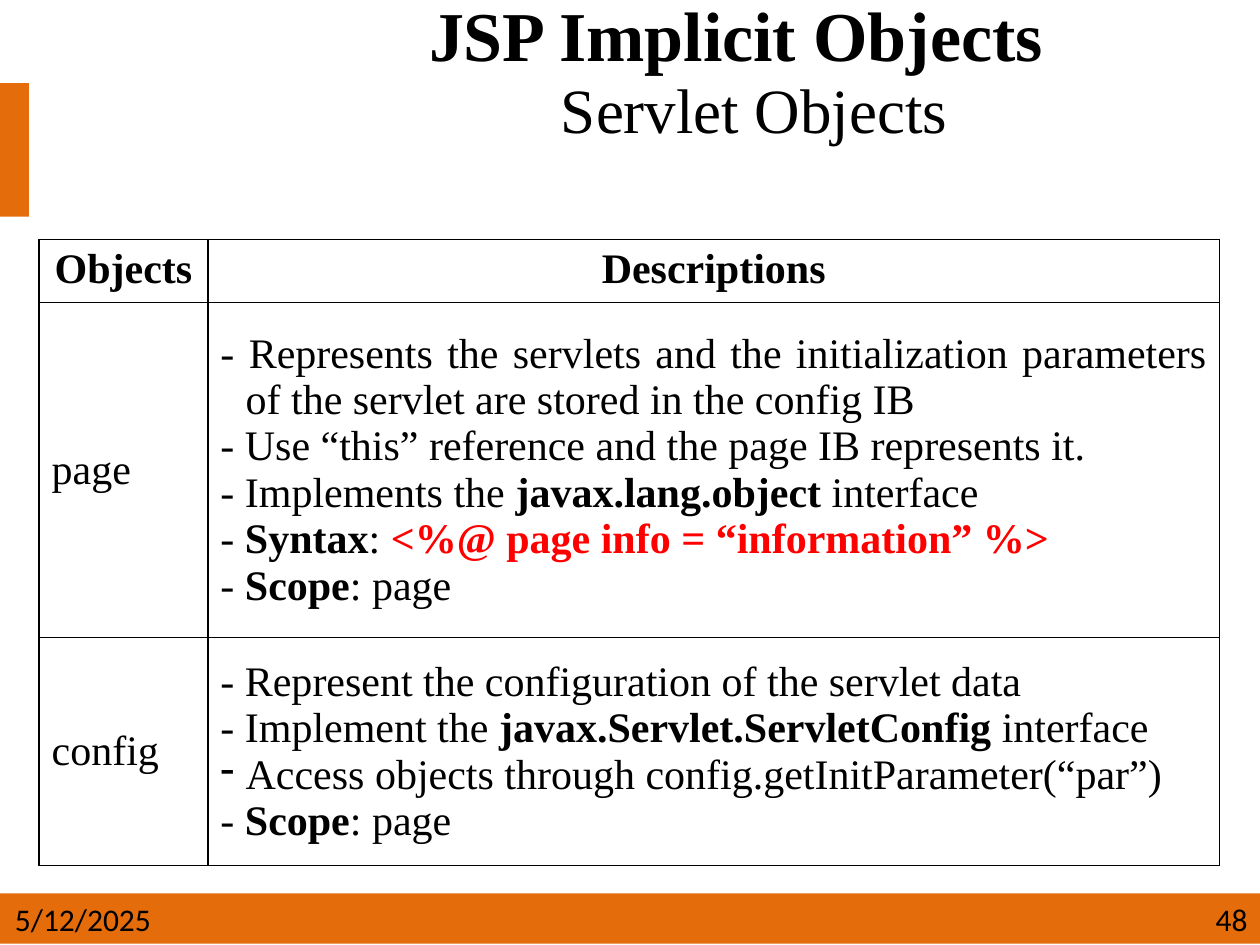
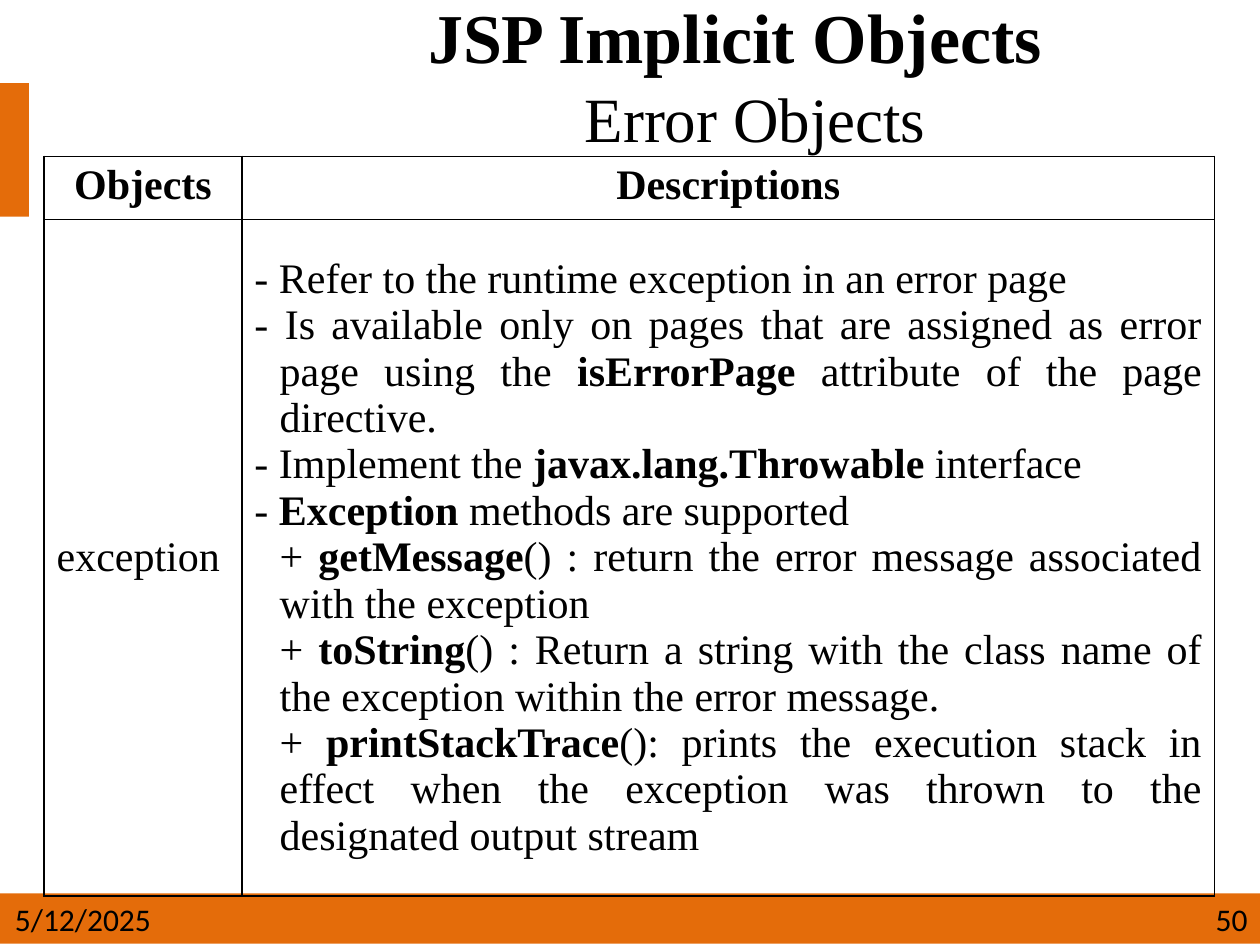
from dataclasses import dataclass
from typing import NamedTuple

from lxml.etree import SubElement
from pptx import Presentation
from pptx.dml.color import RGBColor
from pptx.enum.shapes import MSO_SHAPE
from pptx.enum.text import MSO_ANCHOR as Anchor, PP_ALIGN as Align
from pptx.oxml import parse_xml
from pptx.oxml.ns import nsdecls, qn
from pptx.util import Inches, Pt

ORANGE = RGBColor(0xE4, 0x6C, 0x0A)
BLACK = RGBColor(0, 0, 0)
RED = RGBColor(0xFF, 0, 0)
SERIF = "Times New Roman"
SANS = "Calibri"
DATE = "5/12/2025"
HEADERS = ("Objects", "Descriptions")
HANGING = Inches(0.2)


class Box(NamedTuple):
    left: float
    top: float
    width: float
    height: float


class Run(NamedTuple):
    text: str
    bold: bool = False
    color: RGBColor = BLACK


class TitleRun(NamedTuple):
    text: str
    size: int
    bold: bool = True


@dataclass
class Line:
    runs: list[Run]
    first_indent: int = -HANGING
    bullet: bool = False


@dataclass
class ImplicitObject:
    name: str
    lines: list[Line]


@dataclass
class Page:
    number: int
    title_box: Box
    title_lines: list[list[TitleRun]]
    table_box: Box
    col_widths: list[float]
    row_heights: list[float]
    objects: list[ImplicitObject]


BANDS = (Box(0, 7.09, 10, 0.4), Box(0, 0.66, 0.23, 1.06))
DATE_BOX = Box(0.02, 7.09, 1.52, 0.4)
NUMBER_BOX = Box(7, 7.09, 3, 0.4)


def dash(text: str, bold: str = "", rest: str = "") -> Line:
    return Line([Run("- " + text), Run(bold, True), Run(rest)])


def method(name: str, rest: str) -> Line:
    return Line([Run("+ "), Run(name, True), Run(rest)], first_indent=0)


PAGES = [
    Page(
        48, Box(1.82, 0, 8.18, 1.24),
        [[TitleRun("JSP Implicit Objects ", 40)],
         [TitleRun(" ", 44), TitleRun("Servlet Objects", 36, False)]],
        Box(0.31, 1.9, 9.37, 4.97), [1.34, 8.03], [0.5, 2.66, 1.81],
        [
            ImplicitObject("page", [
                dash("Represents the servlets and the initialization parameters "
                     "of the servlet are stored in the config IB"),
                dash("Use “this” reference and the page IB represents it."),
                dash("Implements the ", "javax.lang.object", " interface"),
                Line([Run("- "), Run("Syntax", True), Run(": "),
                      Run("<%@ page info = “information” %>", True, RED)]),
                dash("", "Scope", ": page"),
            ]),
            ImplicitObject("config", [
                dash("Represent the configuration of the servlet data"),
                dash("Implement the ", "javax.Servlet.ServletConfig", " interface"),
                Line([Run("Access objects through config.getInitParameter(“par”)")], bullet=True),
                dash("", "Scope", ": page"),
            ]),
        ],
    ),
    Page(
        50, Box(1.82, 0.12, 8.18, 1.05),
        [[TitleRun("JSP Implicit Objects", 40), TitleRun(" ", 44)],
         [TitleRun(" ", 48), TitleRun("Error Objects", 36, False)]],
        Box(0.35, 1.24, 9.29, 5.87), [1.57, 7.72], [0.5, 5.37],
        [
            ImplicitObject("exception", [
                dash("Refer to the runtime exception in an error page"),
                dash("Is available only on pages that are assigned as error page using the ",
                     "isErrorPage", " attribute of the page directive."),
                dash("Implement the ", "javax.lang.Throwable", " interface"),
                dash("", "Exception ", "methods are supported"),
                method("getMessage",
                       "() : return the error message associated with the exception"),
                method("toString", "() : Return a string with the class name of "
                                   "the exception within the error message."),
                method("printStackTrace",
                       "(): prints the execution stack in effect when the exception "
                       "was thrown to the designated output stream"),
            ]),
        ],
    ),
]


def set_font(p, name: str, size: int) -> None:
    p.font.name = name
    p.font.size = Pt(size)
    p.font.color.rgb = BLACK


def add_text_box(s, box: Box):
    tf = s.shapes.add_textbox(*map(Inches, box)).text_frame
    tf.word_wrap = True
    return tf


def add_bands(s) -> None:
    for box in BANDS:
        sp = s.shapes.add_shape(MSO_SHAPE.RECTANGLE, *map(Inches, box))
        sp.shadow.inherit = False
        sp.fill.solid()
        sp.fill.fore_color.rgb = ORANGE
        sp.line.fill.background()


def add_title(s, page: Page) -> None:
    tf = add_text_box(s, page.title_box)
    tf.vertical_anchor = Anchor.MIDDLE
    p = tf.paragraphs[0]
    p.alignment = Align.CENTER
    p.line_spacing = 0.8
    p.font.name = SERIF
    p.font.color.rgb = BLACK
    for i, line in enumerate(page.title_lines):
        if i:
            p.add_line_break()
        for text, size, bold in line:
            r = p.add_run()
            r.text = text
            r.font.size = Pt(size)
            r.font.bold = bold


def add_footer(s, box: Box, text: str, align: Align) -> None:
    p = add_text_box(s, box).paragraphs[0]
    p.text = text
    p.alignment = align
    set_font(p, SANS, 18)


def style_cell(cell) -> None:
    tcPr = cell._tc.get_or_add_tcPr()
    for side in ("lnL", "lnR", "lnT", "lnB"):
        ln = SubElement(tcPr, qn(f"a:{side}"), w=str(Pt(1)))
        fill = SubElement(ln, qn("a:solidFill"))
        SubElement(fill, qn("a:srgbClr"), val=str(BLACK))
    cell.fill.background()


def write_label(cell, text: str, bold: bool, align: Align, anchor: Anchor) -> None:
    cell.vertical_anchor = anchor
    p = cell.text_frame.paragraphs[0]
    p.text = text
    p.alignment = align
    set_font(p, SERIF, 24)
    p.font.bold = bold


def write_lines(cell, lines: list[Line]) -> None:
    cell.vertical_anchor = Anchor.MIDDLE
    tf = cell.text_frame
    for i, line in enumerate(lines):
        p = tf.add_paragraph() if i else tf.paragraphs[0]
        p.alignment = Align.JUSTIFY
        set_font(p, SERIF, 24)
        pPr = p._p.get_or_add_pPr()
        pPr.set("marL", str(HANGING))
        pPr.set("indent", str(line.first_indent))
        if line.bullet:
            pPr.insert(0, parse_xml(f'<a:buChar {nsdecls("a")} char="-"/>'))
        for text, bold, color in line.runs:
            if text:
                r = p.add_run()
                r.text = text
                r.font.bold = bold
                r.font.color.rgb = color


def add_object_table(s, page: Page) -> None:
    table = s.shapes.add_table(len(page.row_heights), len(page.col_widths),
                               *map(Inches, page.table_box)).table
    table.first_row = table.horz_banding = False
    for col, width in zip(table.columns, page.col_widths):
        col.width = Inches(width)
    for row, height in zip(table.rows, page.row_heights):
        row.height = Inches(height)
    for cell in table.iter_cells():
        style_cell(cell)
    for i, header in enumerate(HEADERS):
        write_label(table.cell(0, i), header, True, Align.CENTER, Anchor.TOP)
    for i, obj in enumerate(page.objects, 1):
        write_label(table.cell(i, 0), obj.name, False, Align.LEFT, Anchor.MIDDLE)
        write_lines(table.cell(i, 1), obj.lines)


def main() -> None:
    prs = Presentation()
    prs.slide_width, prs.slide_height = Inches(10), Inches(7.5)
    for page in PAGES:
        s = prs.slides.add_slide(prs.slide_layouts[6])
        add_bands(s)
        add_title(s, page)
        add_object_table(s, page)
        add_footer(s, DATE_BOX, DATE, Align.LEFT)
        add_footer(s, NUMBER_BOX, str(page.number), Align.RIGHT)
    prs.save("out.pptx")


if __name__ == "__main__":
    main()
